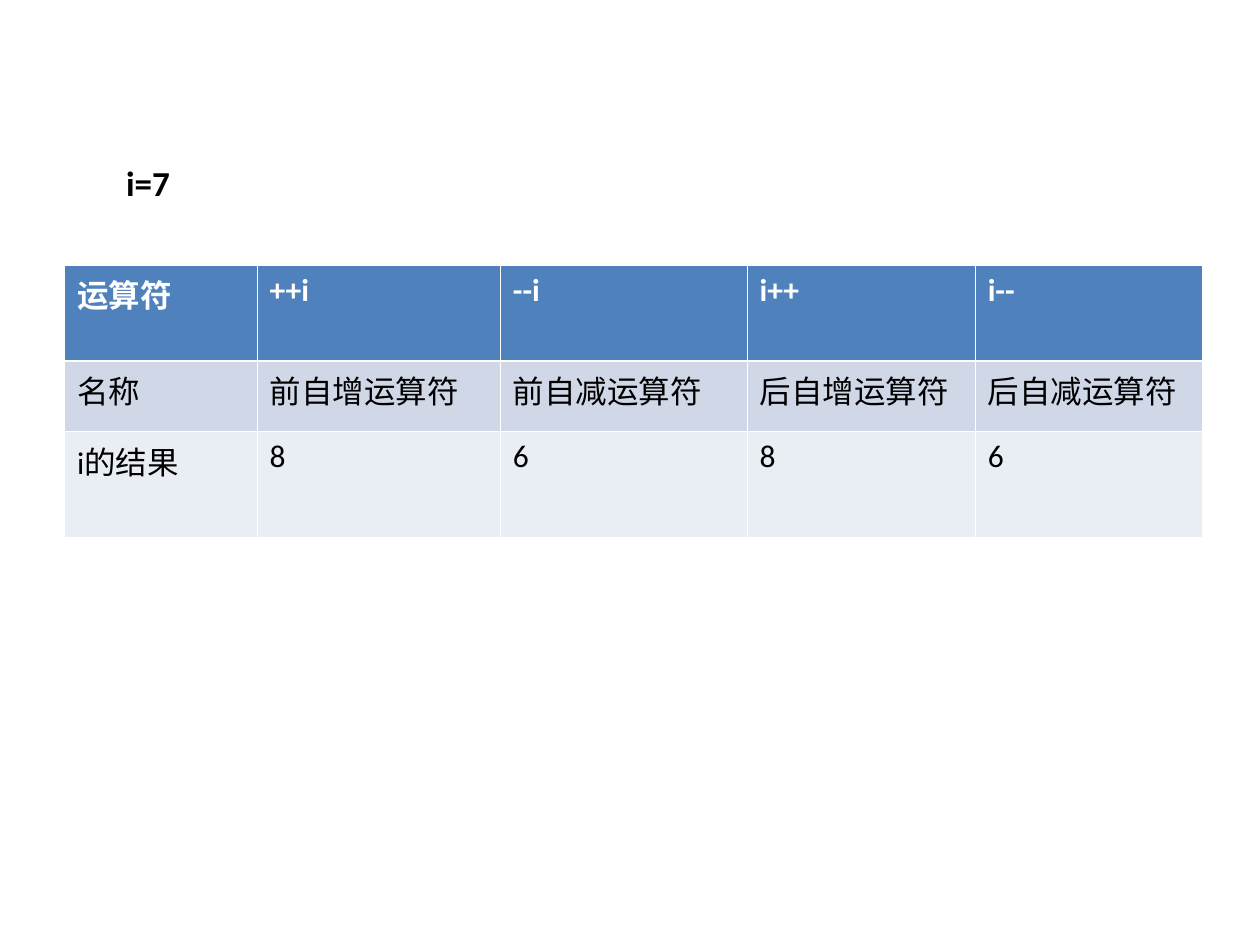
from pptx import Presentation
from pptx.dml.color import RGBColor
from pptx.enum import text
from pptx.oxml import parse_xml
from pptx.oxml.ns import nsdecls
from pptx.util import Pt

FONT = "Calibri"
HUES = {
    "white": "FFFFFF",
    "black": "000000",
    "head": "4F81BD",
    "band": "D0D8E8",
    "pale": "E9EDF4",
}
THIN, THICK = 0.45, 1.47

COLS = [110, 139, 141, 130.4, 130]
# Each row: height, fill, text colour, bold, top line, bottom line, cells
ROWS = [
    (54.9, "head", "white", True, THIN, THICK,
     ["运算符", "++i", "--i", "i++", "i--"]),
    (40.2, "band", "black", False, THICK, THIN,
     ["名称", "前自增运算符", "前自减运算符", "后自增运算符", "后自减运算符"]),
    (60.5, "pale", "black", False, THIN, THIN,
     ["i的结果", "8", "6", "8", "6"]),
]


def color(name):
    return RGBColor.from_string(HUES[name])


def add_run(para, words, size, hue, bold):
    run = para.add_run()
    run.text = words
    font = run.font
    font.name, font.size, font.bold = FONT, Pt(size), bold
    font.color.rgb = color(hue)


def set_edges(cell, top, bottom):
    # Borders must come before the fill in the cell properties
    props = cell._tc.get_or_add_tcPr()
    edges = [("lnL", THIN), ("lnR", THIN), ("lnT", top), ("lnB", bottom)]
    for tag, width in edges:
        props.append(parse_xml(
            f'<a:{tag} {nsdecls("a")} w="{int(Pt(width))}"><a:solidFill>'
            f'<a:srgbClr val="{HUES["white"]}"/></a:solidFill></a:{tag}>'))


def add_grid(slide, left, top):
    high = sum(row[0] for row in ROWS)
    frame = slide.shapes.add_table(
        len(ROWS), len(COLS), Pt(left), Pt(top), Pt(sum(COLS)), Pt(high))
    table = frame.table
    for col, width in zip(table.columns, COLS):
        col.width = Pt(width)
    for row, data in zip(table.rows, ROWS):
        height, fill, hue, bold, upper, lower, words = data
        row.height = Pt(height)
        for cell, word in zip(row.cells, words):
            set_edges(cell, upper, lower)
            cell.fill.solid()
            cell.fill.fore_color.rgb = color(fill)
            add_run(cell.text_frame.paragraphs[0], word, 18, hue, bold)


def add_note(slide, words, left, top, width, height):
    box = slide.shapes.add_textbox(Pt(left), Pt(top), Pt(width), Pt(height))
    frame = box.text_frame
    frame.word_wrap = True
    frame.auto_size = text.MSO_AUTO_SIZE.SHAPE_TO_FIT_TEXT
    add_run(frame.paragraphs[0], words, 20, "black", True)


def main():
    deck = Presentation()
    deck.slide_width, deck.slide_height = Pt(720), Pt(540)
    slide = deck.slides.add_slide(deck.slide_layouts[6])

    # Operator table
    add_grid(slide, 36.9, 151.4)
    # Starting value
    add_note(slide, "i=7", 65, 88.7, 481, 31.5)

    deck.save("out.pptx")


if __name__ == "__main__":
    main()
